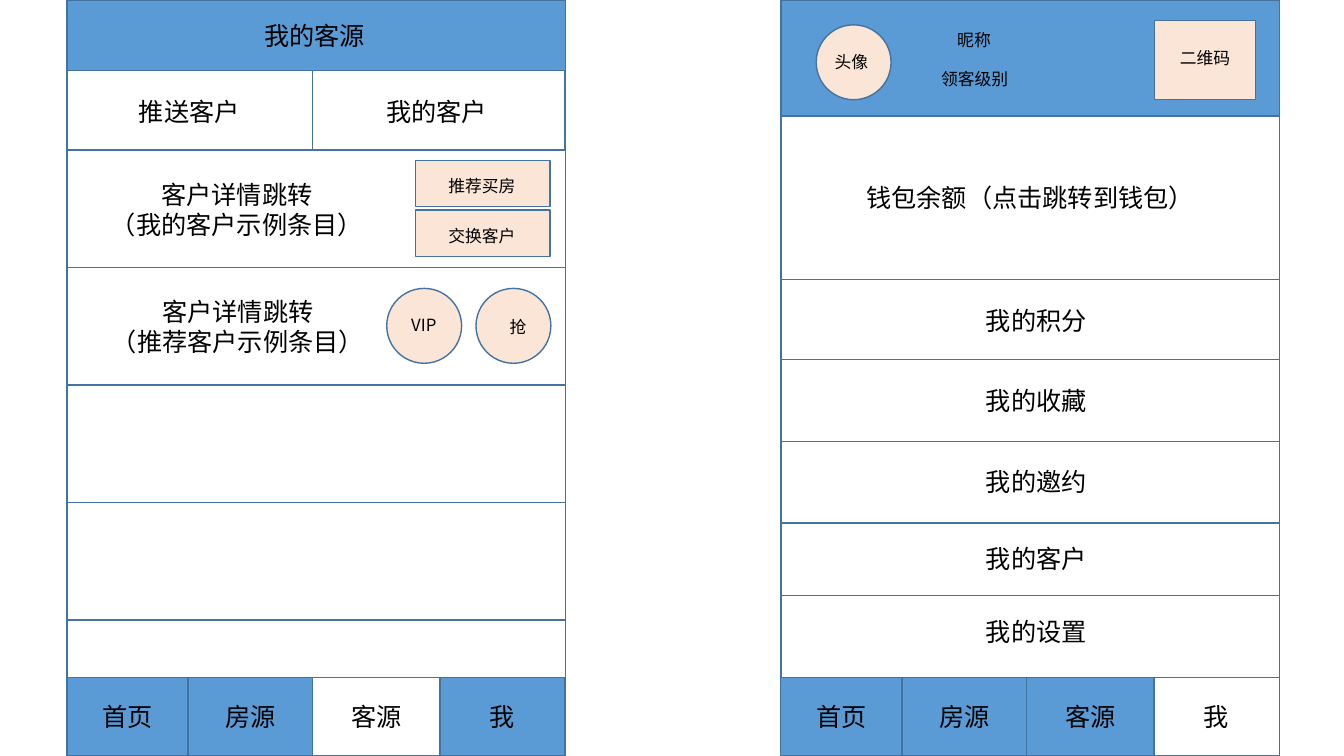
from dataclasses import dataclass
from itertools import pairwise

from lxml.etree import SubElement
from pptx import Presentation
from pptx.dml.color import RGBColor
from pptx.enum.shapes import MSO_SHAPE
from pptx.enum.text import MSO_ANCHOR, MSO_AUTO_SIZE, PP_ALIGN
from pptx.oxml.ns import qn
from pptx.util import Pt

FONT = "Noto Sans CJK SC"
WHITE, BLUE, PEACH, BORDER, BLACK = "FFFFFF", "5B9BD5", "FBE5D6", "43739E", "000000"
PHONE_WIDTH, PHONE_HEIGHT = 356, 540
LEFT_PHONE, RIGHT_PHONE = 47.75, 557.75
TAB_TOP, TAB_HEIGHT = 484, 56
TAB_EDGES = (0, 86.5, 175.5, 266.5, PHONE_WIDTH)
TAB_NAMES = ("首页", "房源", "客源", "我")


@dataclass
class Panel:
    left: float
    top: float
    width: float
    height: float
    fill: str = WHITE
    kind: MSO_SHAPE = MSO_SHAPE.RECTANGLE


@dataclass
class Label:
    text: str
    left: float
    top: float
    width: float
    size: int = 18


def colour(value: str) -> RGBColor:
    return RGBColor.from_string(value)


def draw_panel(slide, panel: Panel):
    box = slide.shapes.add_shape(
        panel.kind, Pt(panel.left), Pt(panel.top), Pt(panel.width), Pt(panel.height))
    box.shadow.inherit = False
    box.fill.solid()
    box.fill.fore_color.rgb = colour(panel.fill)
    box.line.color.rgb = colour(BORDER)
    box.line.width = Pt(1)
    return box


def write_text(box, text: str, size: int) -> None:
    frame = box.text_frame
    frame.text = text
    frame.word_wrap = True
    for para in frame.paragraphs:
        para.alignment = PP_ALIGN.CENTER
        for span in para.runs:
            span.font.size = Pt(size)
            span.font.color.rgb = colour(BLACK)
            span.font.name = FONT
            SubElement(span.font._element, qn("a:ea"), typeface=FONT)


def place_label(box, label: Label) -> None:
    box.left, box.top, box.width = Pt(label.left), Pt(label.top), Pt(label.width)
    lines = label.text.count("\n") + 1
    box.height = Pt(label.size * 1.2 * lines + 7.2)
    write_text(box, label.text, label.size)
    box.text_frame.vertical_anchor = MSO_ANCHOR.TOP
    box.text_frame.auto_size = MSO_AUTO_SIZE.SHAPE_TO_FIT_TEXT


def draw_label(slide, label: Label) -> None:
    place_label(slide.shapes.add_textbox(0, 0, 0, 0), label)


def draw_phone(slide, left: float, active_tab: str) -> None:
    draw_panel(slide, Panel(left, 0, PHONE_WIDTH, PHONE_HEIGHT))
    for name, (start, end) in zip(TAB_NAMES, pairwise(TAB_EDGES)):
        fill = WHITE if name == active_tab else BLUE
        draw_panel(slide, Panel(left + start, TAB_TOP, end - start, TAB_HEIGHT, fill))
        middle = left + (start + end) / 2
        draw_label(slide, Label(name, middle - 28.5, 497.5, 57))


def draw_customers_page(slide) -> None:
    draw_phone(slide, LEFT_PHONE, "客源")

    # Header, whose title is raised above the band
    draw_panel(slide, Panel(LEFT_PHONE, 0, PHONE_WIDTH, 50.5, BLUE))
    title = slide.shapes.title
    title.element.getparent().append(title.element)
    place_label(title, Label("我的客源", 113.75, 10.8, 222))

    # Switch and customer rows
    draw_panel(slide, Panel(LEFT_PHONE, 50.5, 175.5, 56.75))
    draw_panel(slide, Panel(LEFT_PHONE + 175.5, 50.5, 180.5, 56.75))
    for row in range(4):
        draw_panel(slide, Panel(LEFT_PHONE, 107.25 + 83.9 * row, PHONE_WIDTH, 83.9))

    # Row buttons
    for top in (114.5, 150):
        draw_panel(slide, Panel(296.75, top, 96, 33.25, PEACH))
    for left in (276.25, 340):
        draw_panel(slide, Panel(left, 206, 53.5, 53.5, PEACH, MSO_SHAPE.OVAL))

    for label in (
        Label("推送客户", 62.5, 65.5, 145.5),
        Label("我的客户", 237.5, 65.5, 149),
        Label("客户详情跳转\n（我的客户示例条目）", 68.25, 124.5, 202),
        Label("客户详情跳转\n（推荐客户示例条目）", 69, 208.25, 202),
        Label("推荐买房", 306.75, 122, 75, 12),
        Label("交换客户", 306.75, 157.5, 75, 12),
        Label("VIP", 282.25, 221, 41, 12),
        Label("抢", 357, 222.5, 18.75, 12),
    ):
        draw_label(slide, label)


def draw_profile_page(slide) -> None:
    draw_phone(slide, RIGHT_PHONE, "我")

    # Profile header
    draw_panel(slide, Panel(RIGHT_PHONE, 0, PHONE_WIDTH, 83, BLUE))
    draw_panel(slide, Panel(583, 17.75, 53.5, 53.5, PEACH, MSO_SHAPE.OVAL))
    draw_panel(slide, Panel(824.5, 14.5, 72.5, 56.75, PEACH))
    for label in (
        Label("头像", 587.25, 33.25, 42, 12),
        Label("昵称", 658.25, 18, 75, 12),
        Label("领客级别", 658.75, 45.5, 75, 12),
        Label("二维码", 832.25, 30.75, 57, 12),
    ):
        draw_label(slide, label)

    # Wallet
    wallet = draw_panel(slide, Panel(RIGHT_PHONE, 83, PHONE_WIDTH, 116.5))
    write_text(wallet, "钱包余额（点击跳转到钱包）", 18)
    wallet.text_frame.vertical_anchor = MSO_ANCHOR.MIDDLE

    # Menu: name, height of the row, gap above its label
    top = 199.5
    for name, height, gap in (
        ("我的积分", 57.5, 15),
        ("我的收藏", 58.25, 14.5),
        ("我的邀约", 58.25, 14.5),
        ("我的客户", 52, 11),
        ("我的设置", 58.5, 11),
    ):
        draw_panel(slide, Panel(RIGHT_PHONE, top, PHONE_WIDTH, height))
        draw_label(slide, Label(name, 639.5, top + gap, 201.5))
        top += height


def main() -> None:
    deck = Presentation()
    deck.slide_width, deck.slide_height = Pt(960), Pt(540)
    page = deck.slides.add_slide(deck.slide_layouts[5])
    draw_customers_page(page)
    draw_profile_page(page)
    deck.save("out.pptx")


if __name__ == "__main__":
    main()
